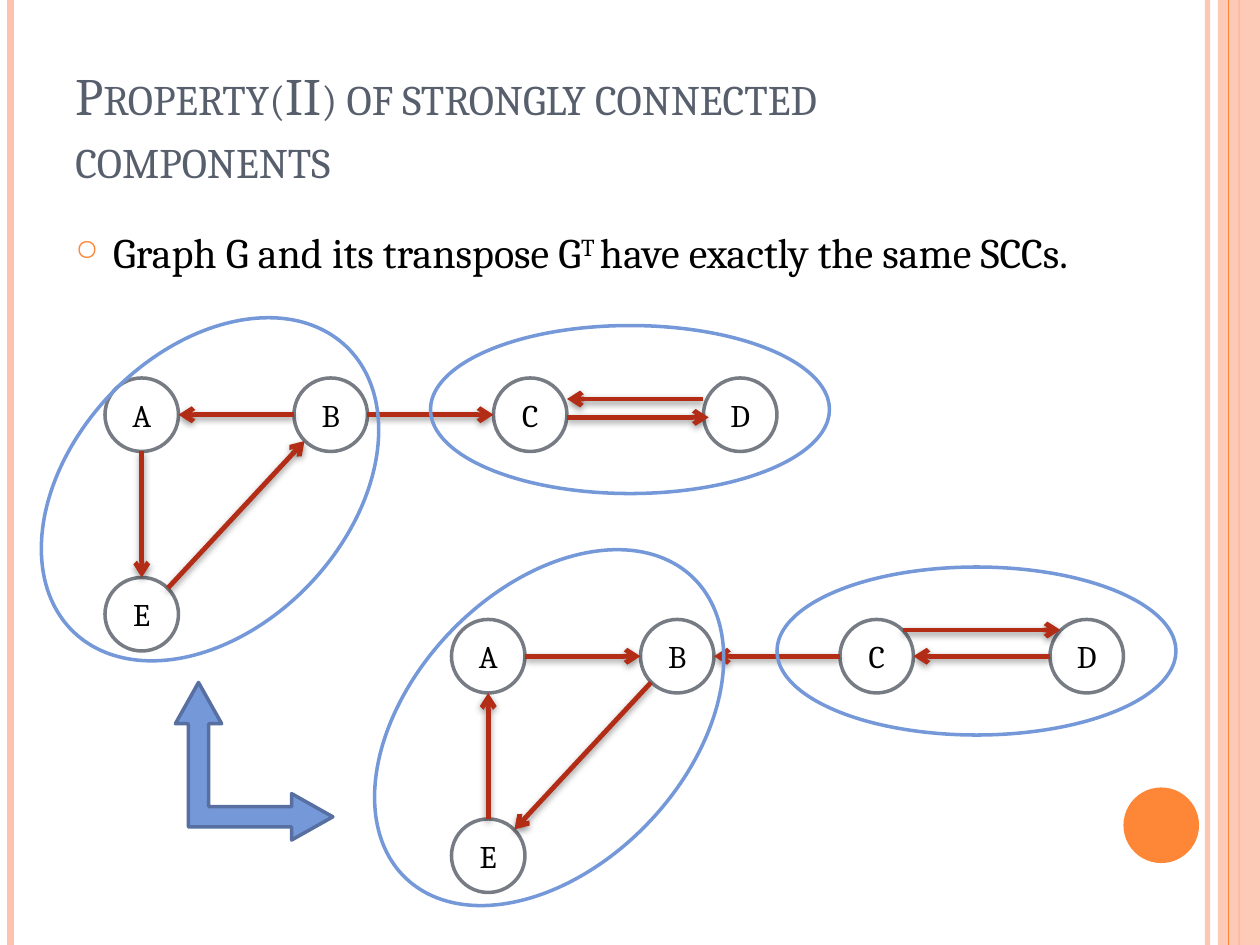
from dataclasses import dataclass
from typing import Any, NamedTuple

from lxml.etree import SubElement as Sub
from pptx import Presentation
from pptx.dml.color import RGBColor as RGB
from pptx.enum.shapes import MSO_CONNECTOR as Conn, MSO_SHAPE as Kind
from pptx.enum.text import MSO_ANCHOR as Anchor, PP_ALIGN as Align
from pptx.oxml.ns import qn
from pptx.util import Inches, Pt


@dataclass(frozen=True)
class Theme:
    face: str = "Cambria"
    title: str = "575F6D"
    text: str = "000000"
    paper: str = "FFFFFF"
    pale: str = "FEC3AE"
    accent: str = "FE8637"
    ring: str = "777C84"
    edge: str = "B32C16"
    blue: str = "7598D9"
    navy: str = "5770A1"
    head_size: float = 30
    body_size: float = 24
    node_size: float = 18
    ring_width: float = 2
    edge_width: float = 2.75


class Box(NamedTuple):
    """Columns and rows of a grid with twelve cells to the inch."""
    x: float
    y: float
    w: float
    h: float


class Edge(NamedTuple):
    x1: float
    y1: float
    x2: float
    y2: float

    def flip(self) -> "Edge":
        return Edge(self.x2, self.y2, self.x1, self.y1)


class Rail(NamedTuple):
    x: float
    color: str
    width: float
    alpha: int = 100


class Graph(NamedTuple):
    x: float
    y: float
    edges: list[Edge]
    loop: Box


THEME = Theme()
COLS, ROWS = 120, 90
NODE = 7
TILT = 133.6
NODES = {"A": (0, 0), "E": (0, 19), "B": (18, 0), "C": (37, 0), "D": (57, 0)}
PAIR = Box(31, -5, 38, 16)
LINKS = [Edge(3.5, 7, 3.5, 19), Edge(6, 20, 19, 6),
         Edge(18, 3.5, 7, 3.5), Edge(25, 3.5, 37, 3.5)]
GRAPHS = [
    Graph(10, 36, LINKS + [Edge(57, 2, 44, 2), Edge(44, 3.75, 57.5, 3.75)],
          Box(-8.8, -2.5, 37.6, 26.2)),
    Graph(43, 59, [link.flip() for link in LINKS]
          + [Edge(43, 1, 58, 1), Edge(57, 3.5, 44, 3.5)],
          Box(-10.5, -2.8, 39.6, 26.2)),
]
RAILS = [Rail(115, THEME.pale, 3, 93), Rail(1, THEME.pale, 4.5),
         Rail(118, THEME.accent, 1.5)]

deck = Presentation()
deck.slide_width, deck.slide_height = Inches(COLS / 12), Inches(ROWS / 12)
slide = deck.slides.add_slide(deck.slide_layouts[6])
shapes = slide.shapes


def cells(*spans: float) -> list[int]:
    return [Inches(span / 12) for span in spans]


def assign(target: Any, **values: Any) -> None:
    for name, value in values.items():
        setattr(target, name, value)


def fade(props: Any, alpha: int) -> None:
    """Make the first colour below props partly transparent."""
    if alpha < 100:
        Sub(next(props.iter(qn("a:srgbClr"))), qn("a:alpha"), val=str(alpha * 1000))


def draw(kind: Kind, box: Box, fill: str = "", line: str = "",
         alpha: int = 100, turn: float = 0) -> Any:
    shape = shapes.add_shape(kind, *cells(*box))
    shape.shadow.inherit = False
    shape.rotation = turn
    if fill:
        shape.fill.solid()
        shape.fill.fore_color.rgb = RGB.from_string(fill)
        fade(shape._element.spPr, alpha)
    else:
        shape.fill.background()
    if line:
        shape.line.color.rgb = RGB.from_string(line)
        shape.line.width = Pt(THEME.ring_width)
    else:
        shape.line.fill.background()
    return shape


def stroke(edge: Edge, color: str, width: float, alpha: int = 100) -> Any:
    """Draw a straight line and return its empty effect list."""
    link = shapes.add_connector(Conn.STRAIGHT, *cells(*edge))
    link.line.color.rgb = RGB.from_string(color)
    link.line.width = Pt(width)
    props = link._element.spPr
    fade(props, alpha)
    return Sub(props, qn("a:effectLst"))


def arrow(edge: Edge) -> None:
    glow = stroke(edge, THEME.edge, THEME.edge_width)
    Sub(glow.getparent().find(qn("a:ln")), qn("a:tailEnd"), type="arrow")
    shade = Sub(glow, qn("a:outerShdw"), blurRad=str(Pt(4)), dist=str(Pt(1.6)),
                dir="5400000", rotWithShape="0")
    Sub(shade, qn("a:srgbClr"), val=THEME.text)
    fade(shade, 42)


def rail(item: Rail) -> None:
    stroke(Edge(item.x, 0, item.x, ROWS), item.color, item.width, item.alpha)


def write(para: Any, text: str, size: float, color: str, **marks: str) -> None:
    """Add a run; marks are raw run properties such as cap or baseline."""
    run = para.add_run()
    run.text = text
    assign(run.font, name=THEME.face, size=Pt(size))
    run.font.color.rgb = RGB.from_string(color)
    for name, value in marks.items():
        run._r.get_or_add_rPr().set(name, value)


def panel(box: Box, anchor: Anchor) -> Any:
    frame = shapes.add_textbox(*cells(*box)).text_frame
    assign(frame, word_wrap=True, vertical_anchor=anchor)
    return frame.paragraphs[0]


def bullet(para: Any) -> None:
    props = para._p.get_or_add_pPr()
    props.set("marL", str(Inches(0.3)))
    props.set("indent", str(Inches(-0.3)))
    Sub(Sub(props, qn("a:buClr")), qn("a:srgbClr"), val=THEME.accent)
    Sub(props, qn("a:buSzPct"), val="70000")
    Sub(props, qn("a:buChar"), char="○")


def node(name: str, x: float, y: float) -> None:
    frame = draw(Kind.OVAL, Box(x, y, NODE, NODE), THEME.paper, THEME.ring).text_frame
    assign(frame, vertical_anchor=Anchor.MIDDLE)
    para = frame.paragraphs[0]
    para.alignment = Align.CENTER
    write(para, name, THEME.node_size, THEME.text)


def plot(graph: Graph) -> None:
    """Draw nodes, edges and the ovals around both components."""
    for name, (x, y) in NODES.items():
        node(name, graph.x + x, graph.y + y)
    for x1, y1, x2, y2 in graph.edges:
        arrow(Edge(graph.x + x1, graph.y + y1, graph.x + x2, graph.y + y2))
    for box, turn in ((PAIR, 0), (graph.loop, TILT)):
        place = box._replace(x=graph.x + box.x, y=graph.y + box.y)
        draw(Kind.OVAL, place, line=THEME.blue, turn=turn)


for item in RAILS:
    rail(item)
draw(Kind.RECTANGLE, Box(116, 0, 4, ROWS), THEME.pale, alpha=87)
rail(Rail(117, THEME.accent, 0.75))
draw(Kind.OVAL, Box(107, 75, 7.2, 7.2), THEME.accent)

head = panel(Box(6, 3.6, 98, 15), Anchor.BOTTOM)
write(head, "Property(II) of strongly connected components",
      THEME.head_size, THEME.title, cap="small")
body = panel(Box(6, 21, 98, 64), Anchor.TOP)
body.space_before = Pt(6)
bullet(body)
for words, marks in (("Graph G and its transpose G", {}), ("T ", {"baseline": "30000"}),
                     ("have exactly the same SCCs.", {})):
    write(body, words, THEME.body_size, THEME.text, **marks)

for graph in GRAPHS:
    plot(graph)
bend = draw(Kind.LEFT_UP_ARROW, Box(16.7, 65, 15, 15), THEME.blue, THEME.navy, turn=90)
for spot, share in enumerate((0.129, 0.147, 0.262)):
    bend.adjustments[spot] = share

deck.save("out.pptx")
